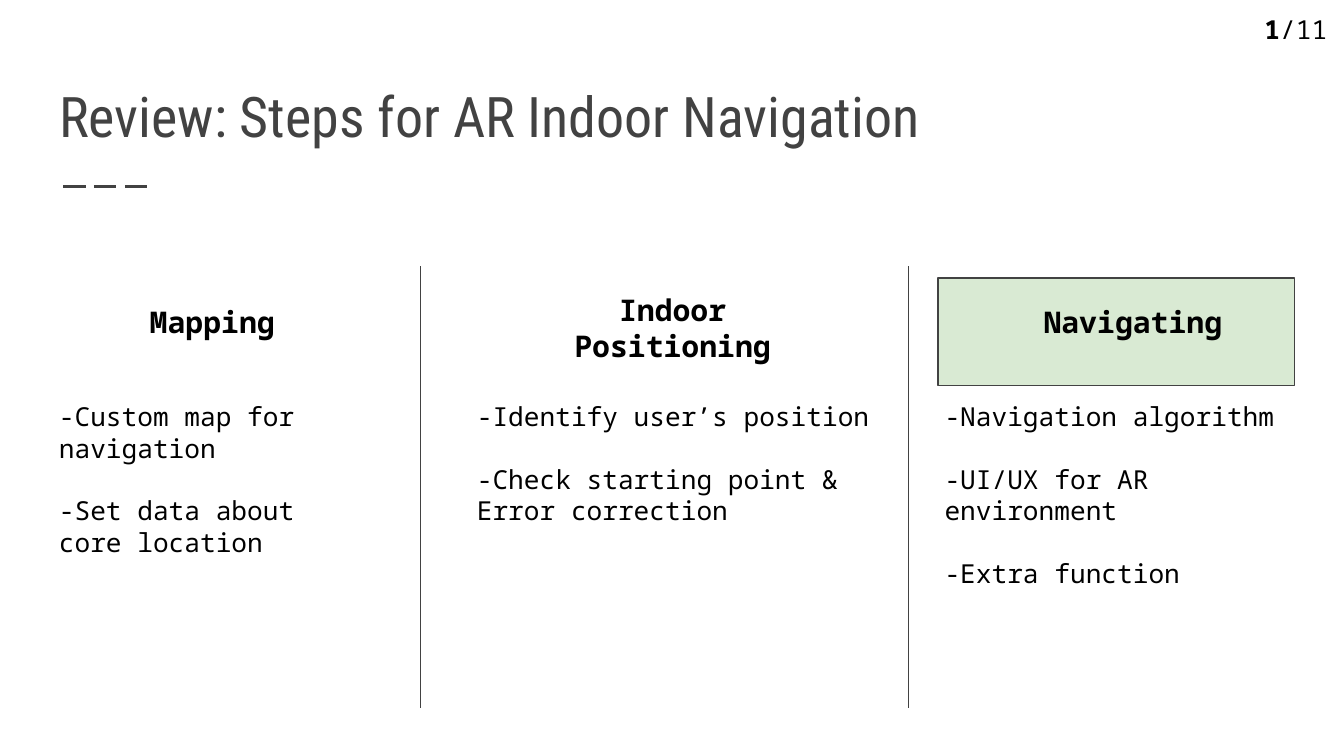
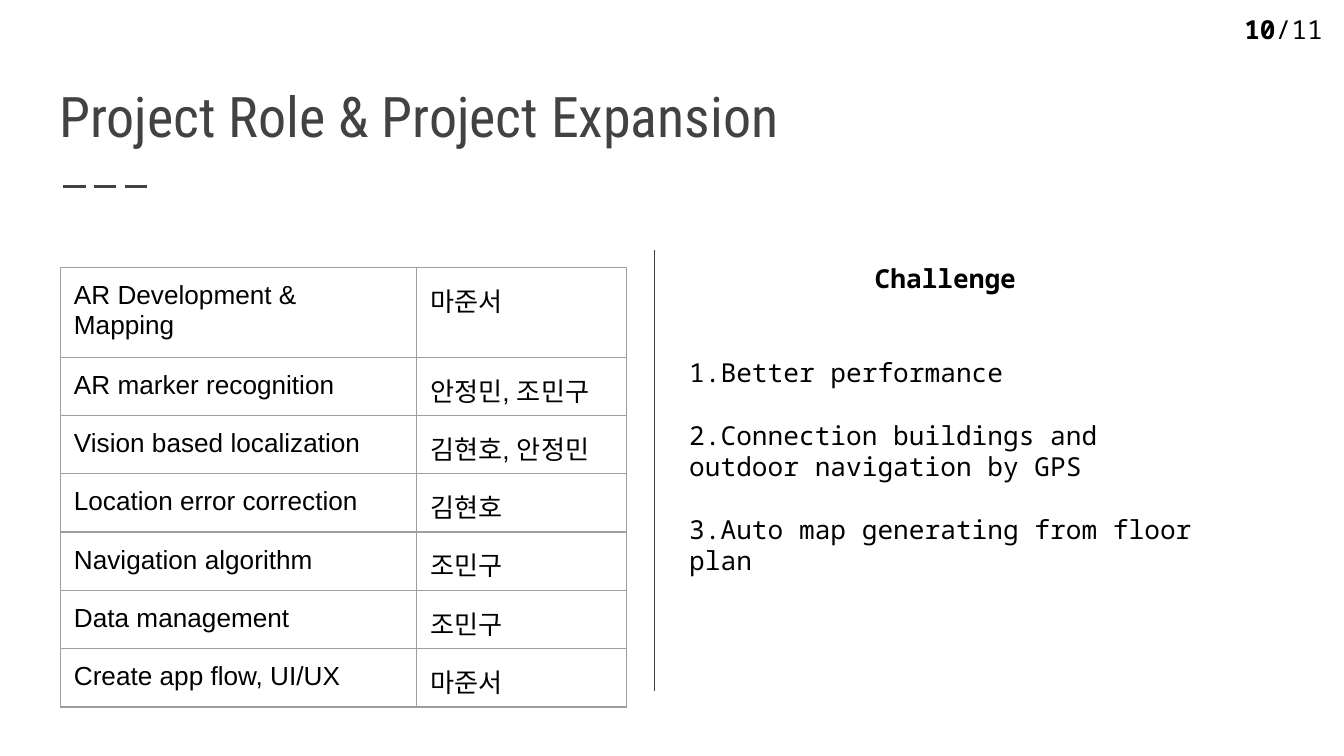
from lxml import etree
from pptx import Presentation
from pptx.dml.color import RGBColor
from pptx.enum.dml import MSO_LINE
from pptx.enum.shapes import MSO_CONNECTOR, MSO_SHAPE
from pptx.enum.text import MSO_ANCHOR, MSO_AUTO_SIZE, PP_ALIGN
from pptx.oxml.ns import qn
from pptx.util import Inches, Pt

INK, BLACK, GREEN, GRID = "424242", "000000", "D9EAD3", "9E9E9E"
TITLE_FONT, BODY_FONT, TABLE_FONT = "Roboto Condensed", "Noto Sans Mono", "Arial"
LINE_GAP = 16.8
INSET = 0.1
TOTAL = 11


def rgb(value):
    return RGBColor.from_string(value)


class Deck:
    """Holds the shared style and draws on the current slide."""

    def __init__(self):
        self.prs = Presentation()
        self.prs.slide_width = Inches(10)
        self.prs.slide_height = Inches(10) * 9 // 16

    def slide(self, title, number, number_x):
        self.s = self.prs.slides.add_slide(self.prs.slide_layouts[5])
        self.line(0.47, 1.39, 1.14, 1.39, 1.5, MSO_LINE.LONG_DASH)
        sp = self.s.shapes.title
        self.place(sp, 0.34, 0.41, 9.32, 0.8)
        tf = sp.text_frame
        tf.text = title
        self.frame(tf, MSO_AUTO_SIZE.NONE)
        tf.vertical_anchor = MSO_ANCHOR.BOTTOM
        self.style(tf.paragraphs[0], 30, TITLE_FONT, INK)
        p = self.text([""], number_x, 0, 10 - number_x, 0.44)[0]
        for part in (str(number), f"/{TOTAL}"):
            p.add_run().text = part
        self.style(p)
        p.runs[0].font.bold = True

    def place(self, sp, x, y, w, h):
        sp.left, sp.top, sp.width, sp.height = map(Inches, (x, y, w, h))

    def frame(self, tf, auto_size):
        tf.word_wrap = True
        tf.auto_size = auto_size
        tf.margin_left = tf.margin_right = Inches(INSET)
        tf.margin_top = tf.margin_bottom = Inches(INSET)

    def style(self, p, size=14, font=BODY_FONT, color=BLACK, bold=False, align=PP_ALIGN.LEFT):
        p.alignment = align
        for r in p.runs:
            r.font.size, r.font.name, r.font.bold = Pt(size), font, bold
            r.font.color.rgb = rgb(color)

    def text(self, lines, x, y, w, h):
        tf = self.s.shapes.add_textbox(*map(Inches, (x, y, w, h))).text_frame
        tf.text = "\n".join(lines)
        self.frame(tf, MSO_AUTO_SIZE.SHAPE_TO_FIT_TEXT)
        for i, p in enumerate(tf.paragraphs):
            self.style(p)
            if i:
                p.space_before = Pt(LINE_GAP)
        return tf.paragraphs

    def heading(self, text, x, y, w, h):
        p = self.text([text], x, y, w, h)[0]
        self.style(p, size=16, bold=True, align=PP_ALIGN.CENTER)

    def box(self, x, y, w, h):
        sp = self.s.shapes.add_shape(MSO_SHAPE.RECTANGLE, *map(Inches, (x, y, w, h)))
        sp.shadow.inherit = False
        sp.fill.solid()
        sp.fill.fore_color.rgb = rgb(GREEN)
        sp.line.color.rgb = rgb(INK)
        sp.line.width = Pt(0.75)

    def line(self, x1, y1, x2, y2, width=0.75, dash=None):
        ends = map(Inches, (x1, y1, x2, y2))
        cx = self.s.shapes.add_connector(MSO_CONNECTOR.STRAIGHT, *ends)
        cx.line.color.rgb = rgb(INK)
        cx.line.width = Pt(width)
        if dash:
            cx.line.dash_style = dash
        etree.SubElement(cx._element.spPr, qn("a:effectLst"))

    def table(self, rows, x, y, widths, row_h):
        size = map(Inches, (x, y, sum(widths), row_h * len(rows)))
        tbl = self.s.shapes.add_table(len(rows), len(widths), *size).table
        tbl.first_row = tbl.horz_banding = False
        for col, w in zip(tbl.columns, widths):
            col.width = Inches(w)
        for row, values in zip(tbl.rows, rows):
            row.height = Inches(row_h)
            for cell, value in zip(row.cells, values):
                self.cell(cell, value)

    def cell(self, cell, value):
        cell.text_frame.text = value
        self.style(cell.text_frame.paragraphs[0], font=TABLE_FONT)
        cell.margin_left = cell.margin_right = Inches(INSET)
        cell.margin_top = cell.margin_bottom = Inches(INSET)
        tc_pr = cell._tc.get_or_add_tcPr()
        for side in ("a:lnL", "a:lnR", "a:lnT", "a:lnB"):
            ln = etree.SubElement(tc_pr, qn(side), w=str(Pt(0.75)))
            fill = etree.SubElement(ln, qn("a:solidFill"))
            etree.SubElement(fill, qn("a:srgbClr"), val=GRID)
        cell.fill.background()


def review_slide(deck):
    deck.slide("Review: Steps for AR Indoor Navigation", 1, 9.31)
    deck.box(6.98, 2.07, 2.65, 0.8)
    steps = [
        ("Mapping", (0.9, 2.16, 1.36, 0.47), (0.34, 2.88, 2.47, 1.62),
         ["-Custom map for navigation", "-Set data about core location"]),
        ("Indoor Positioning", (3.74, 2.07, 2.53, 0.74), (3.45, 2.88, 3.16, 1.14),
         ["-Identify user’s position", "-Check starting point & Error correction"]),
        ("Navigating", (7.63, 2.16, 1.6, 0.47), (6.93, 2.88, 2.76, 1.62),
         ["-Navigation algorithm", "-UI/UX for AR environment", "-Extra function"]),
    ]
    for name, head_at, list_at, items in steps:
        deck.heading(name, *head_at)
        deck.text(items, *list_at)
    for x in (3.13, 6.76):
        deck.line(x, 1.98, x, 5.27)


def role_slide(deck):
    deck.slide("Project Role & Project Expansion", 10, 9.16)
    roles = [
        ("AR Development & Mapping", "마준서"),
        ("AR marker recognition", "안정민, 조민구"),
        ("Vision based localization", "김현호, 안정민"),
        ("Location error correction", "김현호"),
        ("Navigation algorithm", "조민구"),
        ("Data management", "조민구"),
        ("Create app flow, UI/UX", "마준서"),
    ]
    deck.table(roles, 0.45, 1.99, (2.65, 1.56), 0.43)
    challenges = [
        "Challenge",
        "1.Better performance",
        "2.Connection buildings and outdoor navigation by GPS",
        "3.Auto map generating from floor plan",
    ]
    head, first, *_ = deck.text(challenges, 5.03, 1.85, 4.01, 2.79)
    deck.style(head, bold=True, align=PP_ALIGN.CENTER)
    first.space_before = Pt(2 * LINE_GAP)
    deck.line(4.87, 1.86, 4.87, 5.14)


def main():
    deck = Deck()
    review_slide(deck)
    role_slide(deck)
    deck.prs.save("out.pptx")


if __name__ == "__main__":
    main()
